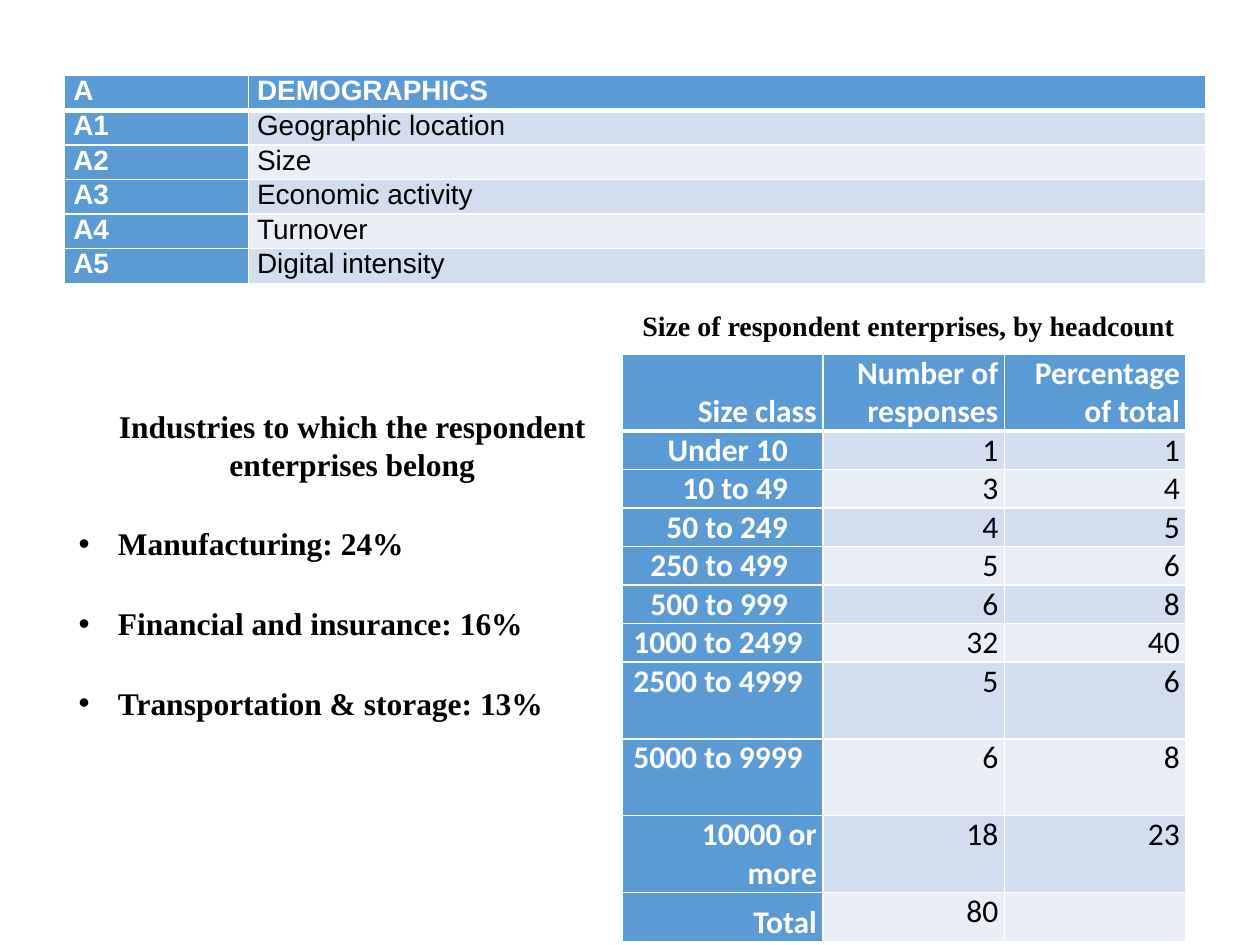
from lxml import etree
from pptx import Presentation
from pptx.dml.color import RGBColor
from pptx.enum import text as t
from pptx.oxml import ns
from pptx.util import Pt

BLUE = RGBColor(0x5B, 0x9B, 0xD5)
DARK = RGBColor(0xD2, 0xDE, 0xEF)
PALE = RGBColor(0xEA, 0xEF, 0xF7)
WHITE = RGBColor(0xFF, 0xFF, 0xFF)
BLACK = RGBColor(0, 0, 0)
LEFT, MID, RIGHT = t.PP_ALIGN.LEFT, t.PP_ALIGN.CENTER, t.PP_ALIGN.RIGHT
TOP, BASE = t.MSO_ANCHOR.TOP, t.MSO_ANCHOR.BOTTOM


class Page:
    serif = "Times New Roman"

    def __init__(self, slide):
        self.slide = slide

    def style(self, para, font, size, color, bold, align=LEFT):
        para.alignment = align
        para.font.name = font
        para.font.size = Pt(size)
        para.font.bold = bold
        para.font.color.rgb = color

    def edge(self, cell, row):
        """White rules, heavier below the header row."""
        props = cell._tc.get_or_add_tcPr()
        widths = {"L": 1, "R": 1, "T": 3 if row == 1 else 1,
                  "B": 3 if row == 0 else 1}
        for side, width in widths.items():
            line = etree.SubElement(props, ns.qn("a:ln" + side), w=str(Pt(width)))
            fill = etree.SubElement(line, ns.qn("a:solidFill"))
            etree.SubElement(fill, ns.qn("a:srgbClr"), val=str(WHITE))

    def table(self, left, top, cols, highs, rows, font, size, pad,
              align=LEFT, anchor=TOP, insets=None):
        """Banded table; insets gives extra right margin to labels by row."""
        frame = self.slide.shapes.add_table(
            len(rows), len(cols), Pt(left), Pt(top), Pt(sum(cols)), Pt(sum(highs)))
        grid = frame.table
        grid.first_col = True
        for col, width in zip(grid.columns, cols):
            col.width = Pt(width)
        for i, (row, high) in enumerate(zip(rows, highs)):
            grid.rows[i].height = Pt(high)
            for j, word in enumerate(row):
                cell = grid.cell(i, j)
                head = i == 0 or j == 0
                extra = (insets or {}).get(i, 0) if j == 0 else 0
                cell.margin_left = Pt(pad)
                cell.margin_right = Pt(pad + extra)
                cell.margin_top = cell.margin_bottom = 0
                tall = high > 40 and i > 0
                cell.vertical_anchor = anchor if head and not tall else TOP
                self.edge(cell, i)
                cell.fill.solid()
                cell.fill.fore_color.rgb = BLUE if head else DARK if i % 2 else PALE
                cell.text = word
                para = cell.text_frame.paragraphs[0]
                para.space_after = Pt(1)
                self.style(para, font, size, WHITE if head else BLACK, head, align)

    def box(self, left, top, width, height):
        frame = self.slide.shapes.add_textbox(
            Pt(left), Pt(top), Pt(width), Pt(height)).text_frame
        frame.word_wrap = True
        return frame

    def label(self, left, top, width, height, words, size):
        para = self.box(left, top, width, height).paragraphs[0]
        para.text = words
        self.style(para, self.serif, size, BLACK, True)

    def points(self, left, top, width, height, head, items, size):
        """Centred heading over a bulleted list."""
        frame = self.box(left, top, width, height)
        for i, words in enumerate([head] + items):
            para = frame.paragraphs[0] if i == 0 else frame.add_paragraph()
            para.text = words
            props = para._p.get_or_add_pPr()
            props.set("marL", str(Pt(56 if i else 34)))
            if i:
                props.set("indent", str(Pt(-22.5)))
                etree.SubElement(props, ns.qn("a:buFont"), typeface="Arial")
                etree.SubElement(props, ns.qn("a:buChar"), char="•")
                para.space_before = Pt(12)
            para.space_after = Pt(12)
            self.style(para, self.serif, size, BLACK, True, LEFT if i else MID)


def main():
    deck = Presentation()
    deck.slide_width, deck.slide_height = Pt(720), Pt(540)
    page = Page(deck.slides.add_slide(deck.slide_layouts[6]))

    # Demographic topics
    topics = ["Geographic location", "Size", "Economic activity", "Turnover",
              "Digital intensity"]
    rows = [("A", "DEMOGRAPHICS")]
    rows += [(f"A{i}", topic) for i, topic in enumerate(topics, 1)]
    page.table(36.9, 43.2, [105, 547], [19.8] * 6, rows, "Arial", 16, 5)

    # Headcount classes
    sizes = [
        ("Size class", "Number of responses", "Percentage of total"),
        ("Under 10", "1", "1"),
        ("10 to 49", "3", "4"),
        ("50 to 249", "4", "5"),
        ("250 to 499", "5", "6"),
        ("500 to 999", "6", "8"),
        ("1000 to 2499", "32", "40"),
        ("2500 to 4999", "5", "6"),
        ("5000 to 9999", "6", "8"),
        ("10000 or more", "18", "23"),
        ("Total", "80", ""),
    ]
    insets = {i: 16.5 if i < 6 else 8 for i in range(1, 9)}
    page.table(355.7, 202.3, [114.5, 103.7, 103.7],
               [44] + [21.9] * 6 + [43.9] * 3 + [28], sizes, "Calibri", 18, 3.4,
               RIGHT, BASE, insets)
    page.label(360, 172.5, 357, 26, "Size of respondent enterprises, by headcount", 16)

    # Industries
    page.points(4.3, 229, 360, 189,
                "Industries to which the respondent enterprises belong",
                ["Manufacturing: 24%", "Financial and insurance: 16%",
                 "Transportation & storage: 13%"], 18)

    deck.save("out.pptx")


if __name__ == "__main__":
    main()
